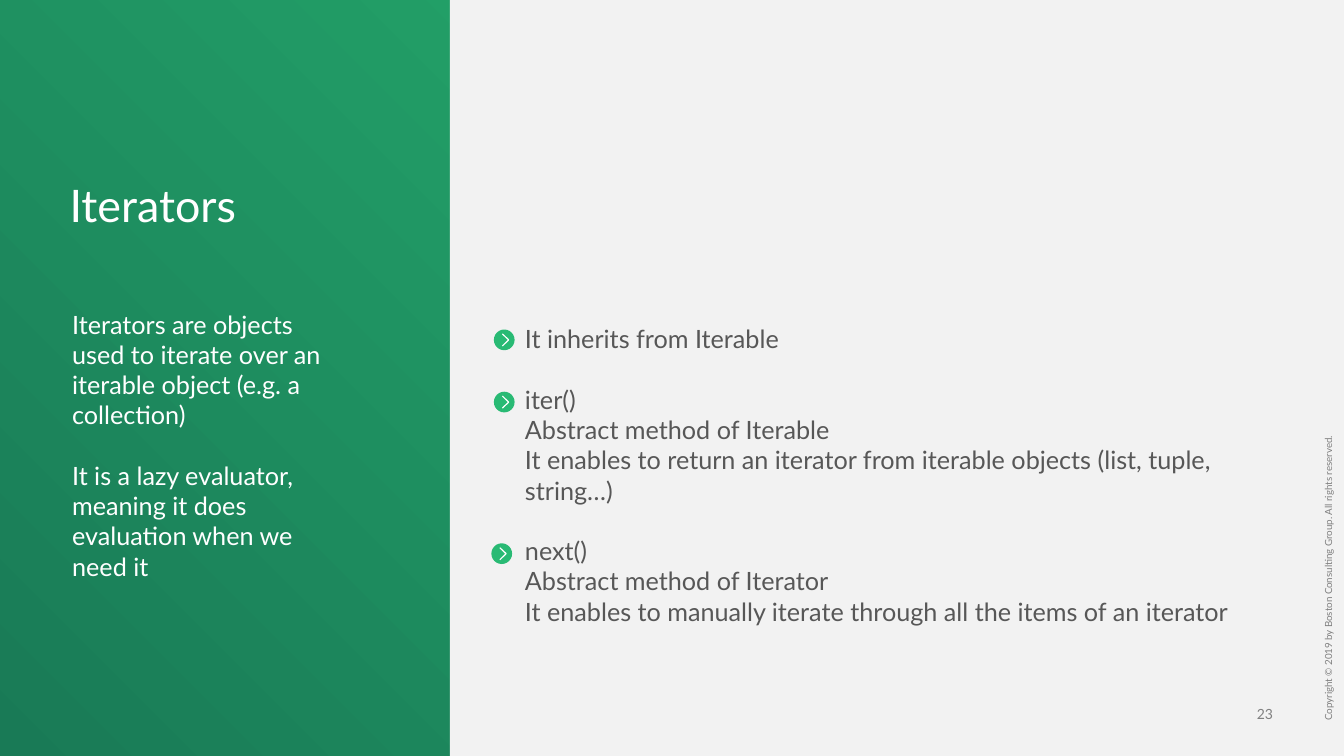
import pptx
import pptx.dml.color
import pptx.enum.shapes
import pptx.enum.text
import pptx.oxml
import pptx.util
from pptx.oxml import ns

Pt = pptx.util.Pt
ALIGN = pptx.enum.text.PP_ALIGN
ANCHOR = pptx.enum.text.MSO_ANCHOR
PRESET = pptx.enum.shapes.MSO_SHAPE
GREEN, DARK_GREEN, WHITE = "29BA74", "197A56", "FFFFFF"
PANEL, BODY, MUTED = "F2F2F2", "575757", "808080"
BLOCK_GAP = 21.6
BADGE_SIZE = 14.8
CHEVRON = [(6.3, 2.8), (5.8, 3.4), (9.9, 7.4), (5.8, 11.4),
           (6.3, 12), (10.6, 8), (10.9, 7.4), (10.6, 6.8)]

DESCRIPTION = [
    ["Iterators are objects used to iterate over an iterable object (e.g. a collection)"],
    ["It is a lazy evaluator, meaning it does evaluation when we need it"],
]
METHODS = [
    ["It inherits from Iterable"],
    ["iter()", "Abstract method of Iterable",
     "It enables to return an iterator from iterable objects (list, tuple, string…)"],
    ["next()", "Abstract method of Iterator",
     "It enables to manually iterate through all the items of an iterator"],
]
BADGES = [(352.8, 235.4), (352.8, 279.8), (351, 388.1)]


def rgb(value):
    """Turn a hex string into a colour."""
    return pptx.dml.color.RGBColor.from_string(value)


def paint(shape, color):
    """Give a shape a flat fill without line or shadow."""
    shape.fill.solid()
    shape.fill.fore_color.rgb = rgb(color)
    shape.line.fill.background()
    shape.shadow.inherit = False


def place(shape, left, top, width, height):
    """Move and size a shape in points."""
    shape.left, shape.top = Pt(left), Pt(top)
    shape.width, shape.height = Pt(width), Pt(height)


def write(shape, blocks, size, color, anchor=ANCHOR.TOP, align=ALIGN.LEFT, spacing=1.0):
    """Fill a frame with blocks of paragraphs, with a gap between blocks."""
    frame = shape.text_frame
    frame.word_wrap = True
    frame.auto_size = pptx.enum.text.MSO_AUTO_SIZE.NONE
    frame.vertical_anchor = anchor
    frame.margin_left = frame.margin_right = frame.margin_top = frame.margin_bottom = 0
    paragraph = frame.paragraphs[0]
    for block_index, block in enumerate(blocks):
        for line_index, line in enumerate(block):
            if block_index or line_index:
                paragraph = frame.add_paragraph()
            properties = paragraph._p.get_or_add_pPr()
            properties.set("marL", "0")
            properties.set("indent", "0")
            properties.append(pptx.oxml.parse_xml(f"<a:buNone {ns.nsdecls('a')}/>"))
            paragraph.alignment = align
            paragraph.line_spacing = spacing
            paragraph.space_before = Pt(BLOCK_GAP if block_index and not line_index else 0)
            run = paragraph.add_run()
            run.text = line
            run.font.name = "Lato"
            run.font.size = Pt(size)
            run.font.color.rgb = rgb(color)


def add_label(slide, text, left, top, width, height, size, **layout):
    """Add a small muted label and return it."""
    label = slide.shapes.add_textbox(Pt(left), Pt(top), Pt(width), Pt(height))
    write(label, [[text]], size, MUTED, **layout)
    return label


def add_badge(slide, left, top):
    """Add a green disc with a white chevron."""
    badge = slide.shapes.add_group_shape()
    disc = badge.shapes.add_shape(PRESET.OVAL, Pt(left), Pt(top), Pt(BADGE_SIZE), Pt(BADGE_SIZE))
    paint(disc, GREEN)
    corners = [(Pt(left + x), Pt(top + y)) for x, y in CHEVRON]
    outline = badge.shapes.build_freeform(*corners[0])
    outline.add_line_segments(corners[1:], close=True)
    paint(outline.convert_to_shape(), WHITE)


def add_backdrop(slide):
    """Set the green gradient and lay the light panel behind the text."""
    fill = slide.background.fill
    fill.gradient()
    fill.gradient_angle = 225
    for stop, color, position in zip(fill.gradient_stops, (GREEN, DARK_GREEN), (0, 1)):
        stop.color.rgb = rgb(color)
        stop.position = position
    panel = slide.shapes.add_shape(PRESET.RECTANGLE, Pt(321.3), 0, Pt(638.7), Pt(540))
    paint(panel, PANEL)
    slide.shapes.element.insert(2, panel.element)


def main():
    """Build and save the slide."""
    deck = pptx.Presentation()
    deck.slide_width, deck.slide_height = Pt(960), Pt(540)
    slide = deck.slides.add_slide(deck.slide_layouts.get_by_name("Two Content"))
    title, description, methods = slide.placeholders
    add_backdrop(slide)

    place(title, 49.7, 128.9, 246.2, 38.9)
    write(title, [["Iterators"]], 32, WHITE, anchor=ANCHOR.MIDDLE, spacing=0.9)
    place(description, 51.5, 220.7, 195.5, 196)
    write(description, DESCRIPTION, 18, WHITE)
    place(methods, 375, 231.2, 528.5, 220)
    write(methods, METHODS, 18, BODY)
    for left, top in BADGES:
        add_badge(slide, left, top)

    notice = add_label(slide, "Copyright © 2019 by Boston Consulting Group. All rights reserved.",
                       747.4, 308.9, 403.9, 7.9, 7, spacing=0.9)
    notice.rotation = 270
    add_label(slide, "23", 879.1, 504, 30.2, 12.2, 10, anchor=ANCHOR.BOTTOM, align=ALIGN.RIGHT)
    deck.save("out.pptx")


if __name__ == "__main__":
    main()
